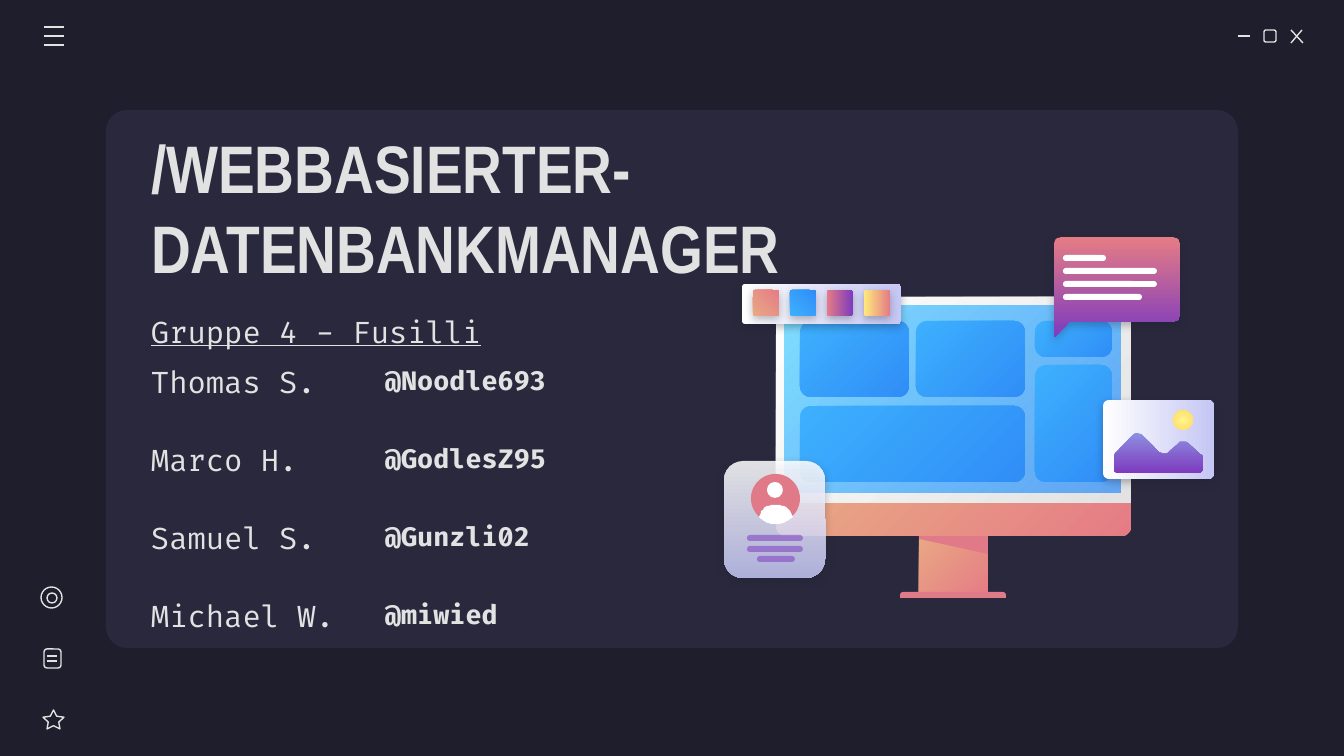
from math import hypot

from lxml.etree import SubElement
from pptx import Presentation
from pptx.dml.color import RGBColor
from pptx.enum.shapes import MSO_CONNECTOR, MSO_SHAPE
from pptx.enum.text import MSO_ANCHOR
from pptx.oxml.ns import qn
from pptx.util import Pt

SCALE = 914400 / 134.4
HEX = {
    "night": "1E1E2C", "panel": "29283D", "light": "E2E2E2", "white": "FFFFFF",
    "peach": "E9A984", "coral": "E57C85", "rose": "E07A88", "plum": "7E3BBE",
    "aqua": "80DFFF", "azure": "318FFA", "sky": "3DB0FD", "blue": "308EF7",
    "lilac": "C5C7F4", "iris": "8D90E1", "lemon": "FFF68E", "gold": "FFD966",
    "corn": "FFEA7D",
}
ROUND, OVAL, TOPPED = (MSO_SHAPE.ROUNDED_RECTANGLE, MSO_SHAPE.OVAL,
                       MSO_SHAPE.ROUND_2_SAME_RECTANGLE)
WARM, TILE, PAPER = ("peach", "coral", 45), ("sky", "blue", 45), ("white", "lilac", 0)
GROUP = "Gruppe 4 - Fusilli"
TEAM = [("Thomas S.", "@Noodle693"), ("Marco H.", "@GodlesZ95"),
        ("Samuel S.", "@Gunzli02"), ("Michael W.", "@miwied")]


def px(num):
    """Turn px into EMU."""
    return round(num * SCALE)


def rgb(name):
    """Look up a colour."""
    return RGBColor.from_string(HEX[name])


def fade(shape, alphas):
    """Set the opacity in percent of each fill colour."""
    for node, alpha in zip(shape._element.spPr.iter(qn("a:srgbClr")), alphas):
        SubElement(node, qn("a:alpha"), val=str(alpha * 1000))


def cast(shape):
    """Drop a soft shadow below a shape."""
    fx = shape._element.spPr.find(qn("a:effectLst"))
    drop = SubElement(fx, qn("a:outerShdw"), blurRad="57150", dist="19050",
                      dir="5400000", algn="bl", rotWithShape="0")
    tint = SubElement(drop, qn("a:srgbClr"), val=HEX["night"])
    SubElement(tint, qn("a:alpha"), val="30000")


def paint(shape, fill=None, line=None, alphas=(), shade=False):
    """Give a shape its fill, outline, opacity and shadow."""
    shape.shadow.inherit = False
    if fill is None:
        shape.fill.background()
    elif isinstance(fill, str):
        shape.fill.solid()
        shape.fill.fore_color.rgb = rgb(fill)
    else:
        *names, angle = fill
        shape.fill.gradient()
        shape.fill.gradient_angle = -angle % 360
        for stop, name, place in zip(shape.fill.gradient_stops, names, (0, 1)):
            stop.color.rgb = rgb(name)
            stop.position = place
    fade(shape, alphas)
    if line:
        shape.line.color.rgb = rgb(line)
        shape.line.width = Pt(0.75)
    else:
        shape.line.fill.background()
    if shade:
        cast(shape)
    return shape


def block(slide, kind, box, fill=None, r=None, **style):
    """Add a preset shape with corner radius r."""
    shape = slide.shapes.add_shape(kind, *map(px, box))
    if r is not None:
        shape.adjustments[0] = r / min(box[2:])
    return paint(shape, fill, **style)


def bend(nodes, steps=8):
    """Round each corner (x, y, r) of an outline."""
    dots = []
    for i, (x, y, r) in enumerate(nodes):
        if not r:
            dots.append((x, y))
            continue
        ends = []
        for ox, oy, _ in (nodes[i - 1], nodes[(i + 1) % len(nodes)]):
            part = r / hypot(ox - x, oy - y)
            ends.append((x + (ox - x) * part, y + (oy - y) * part))
        (ax, ay), (bx, by) = ends
        for t in (k / steps for k in range(steps + 1)):
            u, v, w = (1 - t) ** 2, 2 * t * (1 - t), t * t
            dots.append((u * ax + v * x + w * bx, u * ay + v * y + w * by))
    return dots


def shell(slide, nodes, fill, **style):
    """Add a closed freeform with rounded corners."""
    first, *rest = bend(nodes)
    pen = slide.shapes.build_freeform(*first, scale=SCALE)
    pen.add_line_segments(rest)
    return paint(pen.convert_to_shape(), fill, **style)


def stroke(slide, *ends):
    """Add a thin light line."""
    line = slide.shapes.add_connector(MSO_CONNECTOR.STRAIGHT, *map(px, ends))
    line.line.color.rgb = rgb("light")
    line.line.width = Pt(0.75)
    SubElement(line._element.spPr, qn("a:effectLst"))


def write(para, text, size, font="Fira Code", bold=False, under=False):
    """Add a light run of text."""
    run = para.add_run()
    run.text = text
    face = run.font
    face.name, face.size, face.bold, face.underline = font, Pt(size), bold, under
    face.color.rgb = rgb("light")


def icons(slide):
    """Draw the window controls, the menu and the side icons."""
    stroke(slide, 1238, 36, 1250, 36)
    block(slide, ROUND, (1264, 30, 12, 12), r=2, line="light")
    stroke(slide, 1291, 30, 1303, 43)
    stroke(slide, 1302, 30, 1291, 43)
    for y in (27, 36, 45):
        stroke(slide, 44, y, 64, y)
    star = block(slide, MSO_SHAPE.STAR_5_POINT, (43, 710, 21, 19), line="light")
    star.adjustments[0] = 0.25
    block(slide, ROUND, (44, 649, 17, 19), r=3, line="light")
    for y in (656, 661):
        stroke(slide, 47, y, 57, y)
    block(slide, OVAL, (41, 587, 21, 21), line="light")
    block(slide, OVAL, (47, 593, 10, 10), line="light")


def screen(slide):
    """Draw the monitor with its tiles."""
    block(slide, MSO_SHAPE.RECTANGLE, (919, 534, 69, 63), WARM)
    block(slide, TOPPED, (900, 592, 106, 6), "rose", r=3)
    shell(slide, [(919, 534, 0), (919, 539, 0), (988, 554, 0), (988, 534, 0)], "rose")
    chin = block(slide, TOPPED, (776, 502, 355, 34), WARM, r=0)
    chin.adjustments[1] = 0.27
    block(slide, TOPPED, (776, 297, 355, 206), ("white", "light", 45), r=9)
    block(slide, MSO_SHAPE.RECTANGLE, (785, 306, 336, 187),
          ("aqua", "azure", 45), alphas=(100, 72))
    for box in ((800, 321, 109, 76), (800, 406, 225, 76), (916, 321, 109, 76),
                (1035, 321, 77, 36), (1035, 365, 77, 117)):
        block(slide, ROUND, box, TILE, r=11)


def bubble(slide):
    """Draw the speech bubble."""
    shell(slide, [(1054, 237, 9), (1054, 338, 2), (1069, 322, 0), (1180, 322, 9),
                  (1180, 237, 9)], ("coral", "plum", 90), shade=True)
    for i, wide in enumerate((43, 94, 94, 79)):
        block(slide, ROUND, (1063, 255 + 13 * i, wide, 6), "white", r=3)


def badge(slide):
    """Draw the profile card."""
    block(slide, ROUND, (724, 461, 101, 117), ("white", "lilac", 90), r=19,
          alphas=(86, 86), shade=True)
    block(slide, OVAL, (751, 474, 49, 49), "rose")
    block(slide, OVAL, (767, 482, 16, 16), "white")
    shell(slide, [(759, 517, 0), (764, 505, 9), (787, 505, 9), (793, 517, 0),
                  (784, 524, 8), (767, 524, 8)], "white")
    for x, y, wide in ((747, 535, 56), (747, 546, 56), (757, 556, 38)):
        block(slide, ROUND, (x, y, wide, 6), "plum", r=3, alphas=(54,))


def photo(slide):
    """Draw the landscape card."""
    block(slide, ROUND, (1103, 400, 111, 79), PAPER, r=6, shade=True)
    shell(slide, [(1114, 473, 5), (1114, 455, 2), (1137, 430, 8), (1164, 457, 8),
                  (1183, 439, 8), (1203, 456, 2), (1203, 473, 5)],
          ("iris", "plum", 90))
    sun = block(slide, OVAL, (1173, 410, 20, 20), ("lemon", "gold", 0))
    grad = sun._element.spPr.find(qn("a:gradFill"))
    grad.remove(grad.find(qn("a:lin")))
    ring = SubElement(grad, qn("a:path"), path="circle")
    SubElement(ring, qn("a:fillToRect"), l="50000", t="50000", r="50000", b="50000")


def swatch(slide):
    """Draw the colour bar."""
    block(slide, ROUND, (742, 284, 159, 40), PAPER, r=3, shade=True)
    fills = (("peach", "coral", 315), ("sky", "blue", 315),
             ("coral", "plum", 0), ("corn", "coral", 0))
    for i, fill in enumerate(fills):
        block(slide, ROUND, (753 + 37 * i, 290, 26, 26), fill, r=2, shade=True)


def title(slide):
    """Add the heading."""
    frame = slide.shapes.add_textbox(*map(px, (138, 113, 1007, 206))).text_frame
    frame.word_wrap = True
    frame.vertical_anchor = MSO_ANCHOR.TOP
    frame.margin_left = frame.margin_right = px(13)
    frame.margin_top = frame.margin_bottom = px(13)
    write(frame.paragraphs[0], "/WEBBASIERTER-DATENBANKMANAGER", 36,
          "Arial Narrow", bold=True)


def roster(slide):
    """Add the table of members."""
    table = slide.shapes.add_table(5, 2, *map(px, (138, 275, 553, 375))).table
    table.first_row = table.horz_banding = False
    table._tbl.tblPr.find(qn("a:tableStyleId")).text = (
        "{2D5ABB26-0587-4C30-8999-92F81FD0307C}")
    for col, wide in zip(table.columns, (234, 319)):
        col.width = px(wide)
    for row, high in zip(table.rows, (78, 78, 78, 78, 66)):
        row.height = px(high)
    for cell in table.iter_cells():
        cell.fill.background()
        cell.margin_left = cell.margin_right = px(13)
        cell.margin_top = cell.margin_bottom = px(13)
    head = table.cell(0, 0)
    head.merge(table.cell(0, 1))
    head.margin_top = head.margin_bottom = 0
    head.vertical_anchor = MSO_ANCHOR.BOTTOM
    para = head.text_frame.paragraphs[0]
    para.line_spacing = 2.0
    write(para, GROUP, 16, under=True)
    for i, (name, nick) in enumerate(TEAM, 1):
        write(table.cell(i, 0).text_frame.paragraphs[0], name, 16)
        write(table.cell(i, 1).text_frame.paragraphs[0], nick, 14, bold=True)


def main():
    """Build and save the slide."""
    deck = Presentation()
    deck.slide_width, deck.slide_height = px(1344), px(756)
    slide = deck.slides.add_slide(deck.slide_layouts[6])
    slide.background.fill.solid()
    slide.background.fill.fore_color.rgb = rgb("night")
    block(slide, ROUND, (106, 110, 1132, 538), "panel", r=21)
    for draw in (icons, title, screen, bubble, badge, photo, swatch, roster):
        draw(slide)
    deck.save("out.pptx")


if __name__ == "__main__":
    main()
